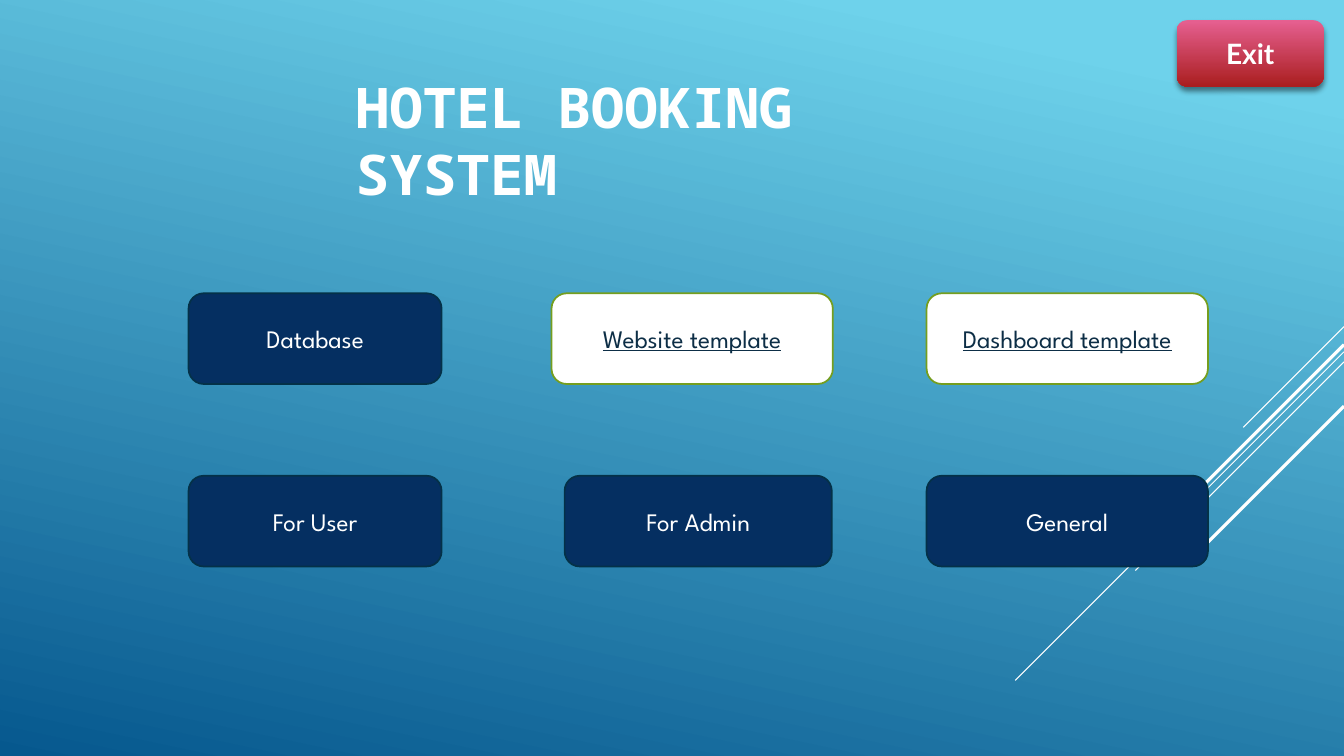
"""Build the hotel booking system menu slide."""
import pptx
import pptx.dml.color
import pptx.enum.shapes
import pptx.enum.text
import pptx.oxml
import pptx.oxml.ns
import pptx.util

Inches = pptx.util.Inches
Pt = pptx.util.Pt

TITLE = "HOTEL BOOKING SYSTEM"
WHITE = "FFFFFF"
NAVY = {"fill": "052F61", "line": "043148", "color": WHITE}
LINKED = {"fill": WHITE, "line": "759E1F", "color": "0D2E46", "underline": True}

BUTTON_ROWS = [
    (2.91, [("Database", 1.87, 2.51, NAVY),
            ("Website template", 5.47, 2.79, LINKED),
            ("Dashboard template", 9.19, 2.79, LINKED)]),
    (4.72, [("For User", 1.87, 2.51, NAVY),
            ("For Admin", 5.6, 2.65, NAVY),
            ("General", 9.19, 2.79, NAVY)]),
]
BUTTON_HEIGHT = 0.9

# right-edge height, diagonal run and weight of each stripe
STRIPES = [(3.24, 1, 0.75), (3.49, 3.26, 0.75), (3.59, 2.07, 0.75),
           (3.42, 1.91, 2.25), (4.03, 1.39, 2.25)]
PAGE_WIDTH, PAGE_HEIGHT = 13.33, 7.5


def rgb(value):
    return pptx.dml.color.RGBColor.from_string(value)


def add_effects(shape, content=""):
    namespace = pptx.oxml.ns.nsdecls("a")
    effects = f"<a:effectLst {namespace}>{content}</a:effectLst>"
    shape._element.spPr.append(pptx.oxml.parse_xml(effects))


def set_gradient(fill, stops, angle):
    fill.gradient()
    fill.gradient_angle = 360 - angle
    for stop, (position, color) in zip(fill.gradient_stops, stops):
        stop.position = position
        stop.color.rgb = rgb(color)


def write(shape, text, font="League Spartan", size=18, color=WHITE,
          bold=False, underline=False, align="CENTER", anchor="MIDDLE"):
    frame = shape.text_frame
    frame.word_wrap = True
    frame.vertical_anchor = getattr(pptx.enum.text.MSO_ANCHOR, anchor)
    para = frame.paragraphs[0]
    para.alignment = getattr(pptx.enum.text.PP_ALIGN, align)
    span = para.add_run()
    span.text = text
    span.font.name = font
    span.font.size = Pt(size)
    span.font.bold = bold
    span.font.underline = underline
    span.font.color.rgb = rgb(color)


def add_box(page, left, top, width, height):
    return page.shapes.add_shape(
        pptx.enum.shapes.MSO_SHAPE.ROUNDED_RECTANGLE,
        Inches(left), Inches(top), Inches(width), Inches(height))


def add_stripe(page, top, run, weight):
    stripe = page.shapes.add_connector(
        pptx.enum.shapes.MSO_CONNECTOR.STRAIGHT,
        Inches(PAGE_WIDTH), Inches(top),
        Inches(PAGE_WIDTH - run), Inches(top + run))
    stripe.line.color.rgb = rgb(WHITE)
    stripe.line.width = Pt(weight)
    add_effects(stripe)


def add_button(page, text, left, top, width, fill, line, **text_format):
    button = add_box(page, left, top, width, BUTTON_HEIGHT)
    button.shadow.inherit = False
    button.fill.solid()
    button.fill.fore_color.rgb = rgb(fill)
    button.line.color.rgb = rgb(line)
    button.line.width = Pt(1.25)
    write(button, text, **text_format)


def add_exit(page):
    button = add_box(page, 11.67, 0.2, 1.46, 0.66)
    set_gradient(button.fill, [(0, "E66091"), (1, "AA1E1F")], 90)
    button.line.fill.background()
    add_effects(button, f'<a:outerShdw blurRad="{Pt(4)}" dist="{Pt(3)}" dir="5400000" '
                        'rotWithShape="0"><a:srgbClr val="000000">'
                        '<a:alpha val="46000"/></a:srgbClr></a:outerShdw>')
    write(button, "Exit", font="Lato", size=20, bold=True)


def main():
    deck = pptx.Presentation()
    deck.slide_width, deck.slide_height = Inches(PAGE_WIDTH), Inches(PAGE_HEIGHT)
    page = deck.slides.add_slide(deck.slide_layouts[6])
    set_gradient(page.background.fill, [(0.1, "6ED2EB"), (1, "06588E")], 102)
    for stripe in STRIPES:
        add_stripe(page, *stripe)
    title = page.shapes.add_textbox(Inches(3.43), Inches(0.67), Inches(6.37), Inches(0.77))
    write(title, TITLE, font="Noto Sans Mono", size=40, bold=True, align="LEFT", anchor="TOP")
    for top, buttons in BUTTON_ROWS:
        for text, left, width, style in buttons:
            add_button(page, text, left, top, width, **style)
    add_exit(page)
    deck.save("out.pptx")


if __name__ == "__main__":
    main()
